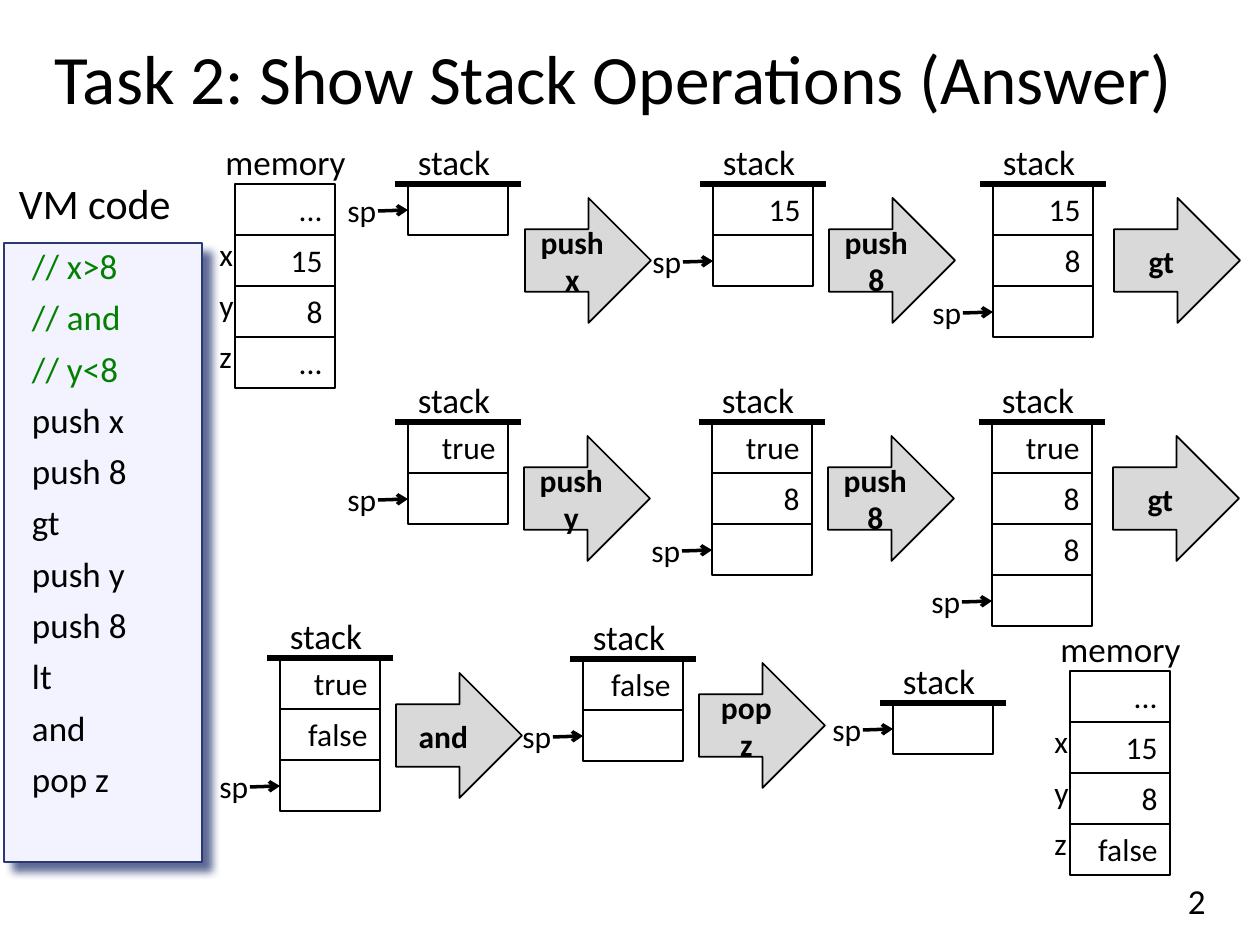
import pptx
import pptx.dml.color
import pptx.enum.shapes
import pptx.enum.text
import pptx.oxml
import pptx.oxml.ns
import pptx.util

RGBColor = pptx.dml.color.RGBColor
BLACK = RGBColor(0x00, 0x00, 0x00)
WHITE = RGBColor(0xFF, 0xFF, 0xFF)
GREEN = RGBColor(0x03, 0x80, 0x02)
GREY = RGBColor(0xD9, 0xD9, 0xD9)
PANEL = RGBColor(0xF3, 0xF3, 0xFF)
NAVY = RGBColor(0x29, 0x39, 0x73)

ALIGN = pptx.enum.text.PP_ALIGN
ANCHOR = pptx.enum.text.MSO_ANCHOR
SHAPE = pptx.enum.shapes.MSO_SHAPE
NAMESPACE = pptx.oxml.ns.nsdecls("a")

PX_PER_INCH = 126
CELL_WIDTH, CELL_HEIGHT = 100, 51

CODE = ["// x>8", "// and", "// y<8", "push x", "push 8", "gt",
        "push y", "push 8", "lt", "and", "pop z"]
# left, top and values of each stack
STACKS = [
    (408, 184, []), (713, 184, ["15"]), (993, 184, ["15", "8"]),
    (408, 422, ["true"]), (712, 422, ["true", "8"]), (992, 422, ["true", "8", "8"]),
    (280, 658, ["true", "false"]), (583, 659, ["false"]), (893, 703, []),
]
# left, top and label of each operation
OPERATIONS = [
    (525, 198, "push\nx"), (829, 198, "push\n8"), (1114, 198, "gt"),
    (524, 436, "push\ny"), (828, 436, "push 8"), (1113, 436, "gt"),
    (396, 673, "and"), (699, 663, "pop\nz"),
]
MEMORIES = [
    (235, 184, ["...", "15", "8", "..."]),
    (1070, 671, ["...", "15", "8", "false"]),
]


def px(*lengths):
    return [pptx.util.Emu(round(length * pptx.util.Inches(1) / PX_PER_INCH))
            for length in lengths]


def write(shape, text, size, align=ALIGN.LEFT, bold=False, color=BLACK):
    shape.text_frame.text = text
    for paragraph in shape.text_frame.paragraphs:
        paragraph.alignment = align
        for run in paragraph.runs:
            run.font.name = "Calibri"
            run.font.size = pptx.util.Pt(size)
            run.font.bold = bold
            run.font.color.rgb = color


def add_label(shapes, box, text, size, align=ALIGN.LEFT, wrap=True):
    label = shapes.add_textbox(*px(*box))
    label.text_frame.word_wrap = wrap
    label.text_frame.auto_size = pptx.enum.text.MSO_AUTO_SIZE.SHAPE_TO_FIT_TEXT
    write(label, text, size, align)
    return label


def add_block(shapes, kind, box, fill=None, line=None, line_width=1):
    block = shapes.add_shape(kind, *px(*box))
    block.shadow.inherit = False
    if fill is None:
        block.fill.background()
    else:
        block.fill.solid()
        block.fill.fore_color.rgb = fill
    if line is None:
        block.line.fill.background()
    else:
        block.line.color.rgb = line
        block.line.width = pptx.util.Pt(line_width)
    block.text_frame.vertical_anchor = ANCHOR.TOP
    return block


def add_line(shapes, start, end, width, arrow=False):
    line = shapes.add_connector(pptx.enum.shapes.MSO_CONNECTOR.STRAIGHT,
                                *px(*start, *end))
    line.line.color.rgb = BLACK
    line.line.width = pptx.util.Pt(width)
    if arrow:
        line.line._get_or_add_ln().append(
            pptx.oxml.parse_xml(f'<a:tailEnd {NAMESPACE} type="arrow"/>'))
    line._element.spPr.append(pptx.oxml.parse_xml(f"<a:effectLst {NAMESPACE}/>"))


def add_cells(shapes, left, top, values):
    for row, value in enumerate(values):
        box = (left, top + row * CELL_HEIGHT, CELL_WIDTH, CELL_HEIGHT)
        cell = add_block(shapes, SHAPE.RECTANGLE, box, line=BLACK)
        write(cell, value, 18, ALIGN.RIGHT)


def add_stack(slide, left, top, values):
    """Draw the values, one free cell below them and the stack pointer."""
    shapes = slide.shapes.add_group_shape().shapes
    add_cells(shapes, left, top, values + [""])
    add_label(shapes, (left - 17, top - 50, 126, 55), "stack", 20, ALIGN.CENTER)
    add_line(shapes, (left - 13, top), (left + 113, top), 3)
    free = top + len(values) * CELL_HEIGHT
    add_line(shapes, (left - 30, free + 27), (left, free + 26), 2, arrow=True)
    add_label(shapes, (left - 73, free + 1, 57, 50), "sp", 18)


def add_memory(slide, left, top, values):
    shapes = slide.shapes.add_group_shape().shapes
    add_cells(shapes, left, top, values)
    add_label(shapes, (left - 22, top - 50, 145, 55), "memory", 20,
              ALIGN.CENTER, wrap=False)
    for row, name in enumerate("xyz", start=1):
        add_label(slide.shapes, (left - 28, top + row * CELL_HEIGHT - 6, 39, 50),
                  name, 18)


def add_operation(slide, left, top, text):
    arrow = add_block(slide.shapes, SHAPE.RIGHT_ARROW, (left, top, 126, 125),
                      GREY, BLACK)
    arrow.text_frame.vertical_anchor = ANCHOR.MIDDLE
    write(arrow, text, 18, ALIGN.CENTER, bold=True)


def add_code(slide):
    heading = add_block(slide.shapes, SHAPE.RECTANGLE, (19, 178, 188, 50), WHITE)
    frame = heading.text_frame
    frame.margin_left = frame.margin_top = frame.margin_right = frame.margin_bottom = 0
    write(heading, "VM code", 24)

    panel = add_block(slide.shapes, SHAPE.RECTANGLE, (4, 243, 198, 619),
                      PANEL, NAVY, 0.75)
    panel._element.spPr.find(pptx.oxml.ns.qn("a:effectLst")).append(
        pptx.oxml.parse_xml(
            f'<a:outerShdw {NAMESPACE} blurRad="63500" dist="90000" dir="2700000" '
            f'algn="tl" rotWithShape="0"><a:srgbClr val="{NAVY}">'
            '<a:alpha val="75000"/></a:srgbClr></a:outerShdw>'))
    panel.text_frame.margin_left, panel.text_frame.margin_right = px(28, 0)
    write(panel, "\n".join(CODE), 20)
    for index, paragraph in enumerate(panel.text_frame.paragraphs):
        paragraph.line_spacing = 0.9
        paragraph.space_before = pptx.util.Pt(7.7 if index else 0)
        if paragraph.text.startswith("//"):
            paragraph.runs[0].font.color.rgb = GREEN


def add_title(slide):
    title = slide.shapes.title
    title.left, title.top, title.width, title.height = px(42, 13, 1176, 139)
    title.text_frame.vertical_anchor = ANCHOR.MIDDLE
    write(title, "Task 2: Show Stack Operations (Answer)", 39.6)
    title.text_frame.paragraphs[0].line_spacing = 0.9


def main():
    presentation = pptx.Presentation()
    presentation.slide_width, presentation.slide_height = px(1260, 945)
    slide = presentation.slides.add_slide(presentation.slide_layouts[5])
    add_title(slide)
    add_code(slide)
    for memory in MEMORIES:
        add_memory(slide, *memory)
    for stack in STACKS:
        add_stack(slide, *stack)
    for operation in OPERATIONS:
        add_operation(slide, *operation)
    number = add_label(slide.shapes, (890, 876, 328, 50), "2", 20, ALIGN.RIGHT)
    number.text_frame.vertical_anchor = ANCHOR.MIDDLE
    presentation.save("out.pptx")


if __name__ == "__main__":
    main()
